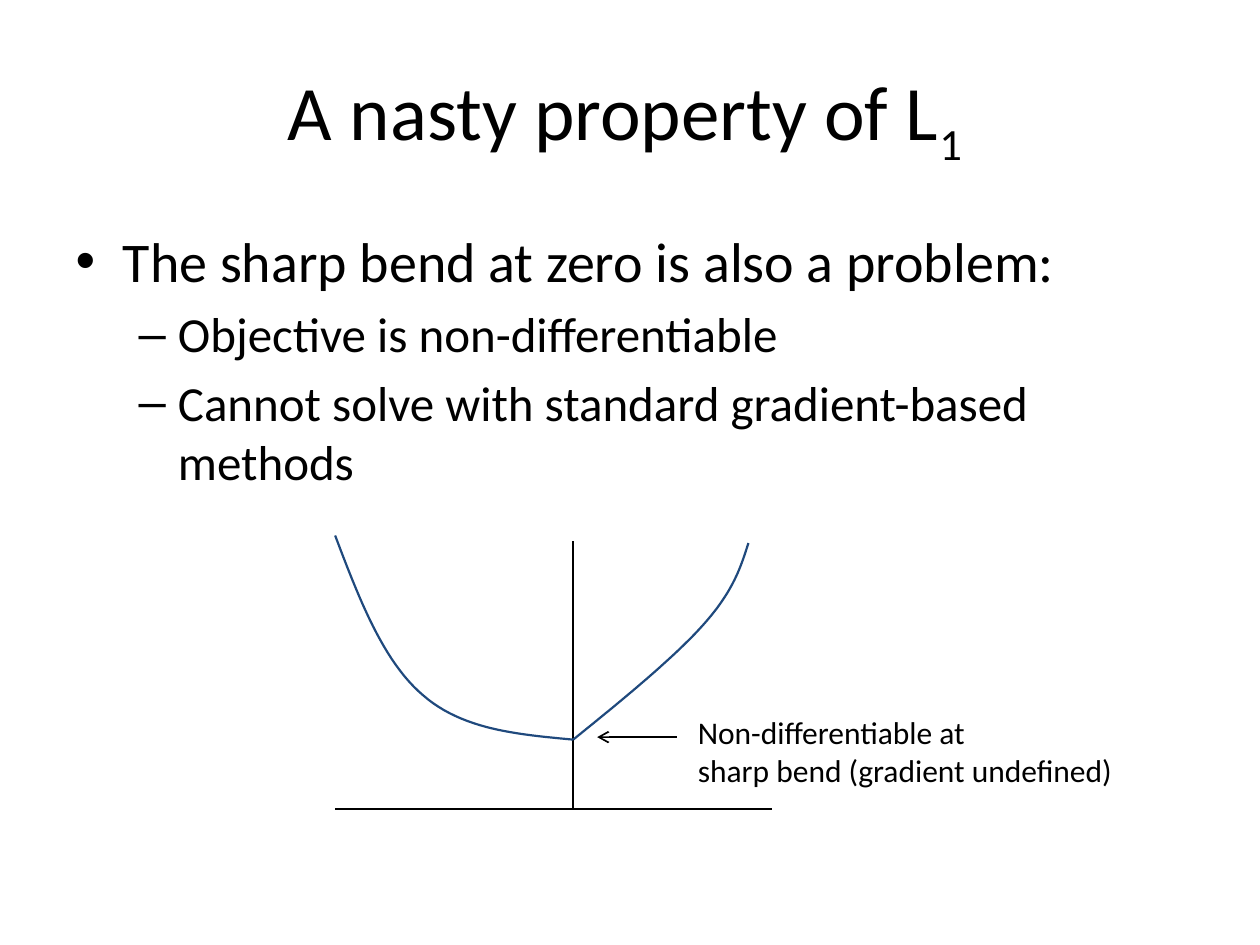
from dataclasses import dataclass

from lxml.etree import SubElement
from pptx import Presentation
from pptx.dml.color import RGBColor
from pptx.enum.shapes import MSO_CONNECTOR as Conn
from pptx.enum.text import MSO_ANCHOR as Anchor, MSO_AUTO_SIZE as AutoSize, PP_ALIGN as Align
from pptx.oxml.ns import qn
from pptx.util import Inches, Pt

Point = tuple[float, float]

COLORS = {"text": "000000", "axis": "000000", "curve": "1F497D"}
FONT = "Calibri"
W, H = 10, 7.5
MARGIN = 0.05 * W
STEPS = 24  # straight pieces per Bézier segment


@dataclass
class Line:
    start: Point
    end: Point
    arrow: bool = False


@dataclass
class Curve:
    """Chain of cubic Bézier segments: a start, then three points for each."""
    points: list[Point]


def rgb(name: str) -> RGBColor:
    return RGBColor.from_string(COLORS[name])


def place(sp, x: float, y: float, w: float, h: float) -> None:
    sp.left, sp.top, sp.width, sp.height = map(Inches, (x, y, w, h))


def add_text(p, text: str, *, size: float, color: str = "text", baseline: int = 0) -> None:
    r = p.add_run()
    r.text = text
    r.font.name, r.font.size = FONT, Pt(size)
    r.font.color.rgb = rgb(color)
    if baseline:
        r.font._element.set("baseline", str(baseline * 1000))


def draw_line(s, line: Line) -> None:
    cn = s.shapes.add_connector(Conn.STRAIGHT, *map(Inches, line.start + line.end))
    cn.line.color.rgb, cn.line.width = rgb("axis"), Pt(1)
    if line.arrow:
        SubElement(cn.line._get_or_add_ln(), qn("a:tailEnd"), type="arrow")
    SubElement(cn._element.spPr, qn("a:effectLst"))


def bezier(a: Point, b: Point, c: Point, d: Point, t: float) -> Point:
    u = 1 - t
    x, y = (u**3 * i + 3 * u * u * t * j + 3 * u * t * t * k + t**3 * m
            for i, j, k, m in zip(a, b, c, d))
    return x, y


def draw_curve(s, curve: Curve) -> None:
    pts = curve.points
    path = [bezier(*pts[i:i + 4], n / STEPS)
            for i in range(0, len(pts) - 1, 3) for n in range(1, STEPS + 1)]
    fb = s.shapes.build_freeform(*map(Inches, pts[0]))
    fb.add_line_segments([(Inches(x), Inches(y)) for x, y in path], close=False)
    sp = fb.convert_to_shape()
    sp.shadow.inherit = False
    sp.fill.background()
    sp.line.color.rgb, sp.line.width = rgb("curve"), Pt(1.25)


# Graph geometry
LEFT, RIGHT, BASE = 2.66, 6.13, 6.42
BEND = (4.55, 5.87)
LINES = [
    Line((LEFT, BASE), (RIGHT, BASE)),
    Line((BEND[0], BASE), (BEND[0], 4.29)),
    Line((5.37, 5.85), (4.74, 5.85), arrow=True),
]
CURVES = [
    Curve([(LEFT, 4.25), (2.85, 4.75), (3.04, 5.25), (3.36, 5.52),
           (3.67, 5.79), (4.11, 5.83), BEND]),
    Curve([BEND, (4.96, 5.54), (5.36, 5.21), (5.59, 4.95),
           (5.82, 4.69), (5.88, 4.5), (5.94, 4.31)]),
]
BULLETS = [
    (0, "The sharp bend at zero is also a problem:"),
    (1, "Objective is non-differentiable"),
    (1, "Cannot solve with standard gradient-based methods"),
]
SIZES = {0: 32, 1: 28}
NOTE = ["Non-differentiable at", "sharp bend (gradient undefined)"]


def main() -> None:
    prs = Presentation()
    prs.slide_width, prs.slide_height = Inches(W), Inches(H)
    s = prs.slides.add_slide(prs.slide_layouts[1])
    title, body = s.placeholders

    # Title
    place(title, MARGIN, 0.04 * H, W - 2 * MARGIN, 1.25)
    title.text_frame.vertical_anchor = Anchor.MIDDLE
    p = title.text_frame.paragraphs[0]
    p.alignment = Align.CENTER
    add_text(p, "A nasty property of L", size=44)
    add_text(p, "1 ", size=44, baseline=-25)

    # Bullet list
    place(body, MARGIN, 1.75, W - 2 * MARGIN, 0.66 * H)
    tf = body.text_frame
    for i, (level, text) in enumerate(BULLETS):
        p = tf.add_paragraph() if i else tf.paragraphs[0]
        p.level = level
        add_text(p, text, size=SIZES[level])

    # Graph
    for line in LINES[:2]:
        draw_line(s, line)
    for curve in CURVES:
        draw_curve(s, curve)
    draw_line(s, LINES[2])

    # Note beside the arrow
    tf = s.shapes.add_textbox(*map(Inches, (5.44, 5.61, 3.54, 0.71))).text_frame
    tf.word_wrap, tf.auto_size = False, AutoSize.SHAPE_TO_FIT_TEXT
    for i, text in enumerate(NOTE):
        p = tf.add_paragraph() if i else tf.paragraphs[0]
        add_text(p, text, size=18)

    prs.save("out.pptx")


if __name__ == "__main__":
    main()
